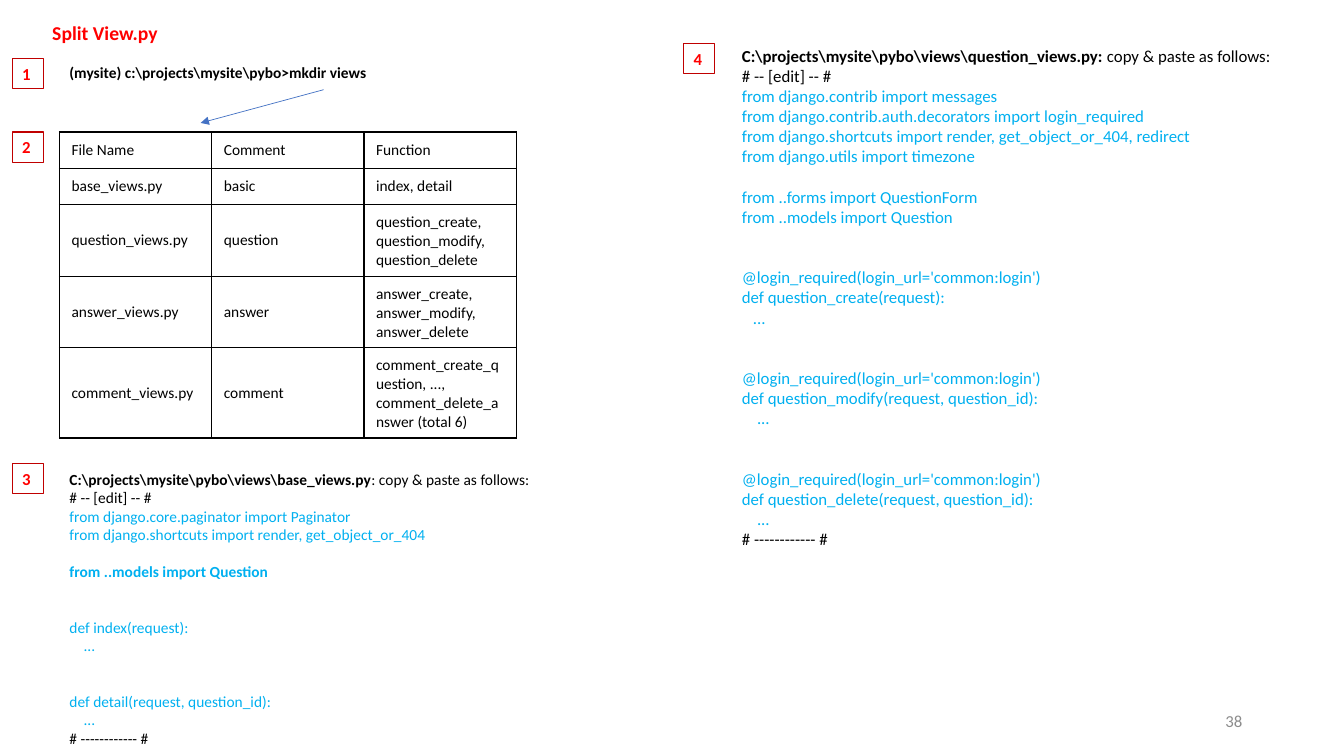
"""Build the slide that explains how to split views.py into modules."""
from typing import NamedTuple

from lxml import etree
from pptx import Presentation
from pptx import util as u
from pptx.dml.color import RGBColor
from pptx.enum import shapes, text
from pptx.oxml import ns

PX = 9144
FONT = "Calibri"
BLACK, RED, DARK_RED = "000000", "FF0000", "C00000"
CODE_BLUE, ARROW_BLUE, GREY = "00B0F0", "4472C4", "8C8C8C"
LINE_PITCH = 1.2


class Line(NamedTuple):
    """One paragraph; gap counts skipped lines, indent is in px."""
    words: str
    color: str = CODE_BLUE
    bold: bool = False
    gap: int = 0
    indent: int = 0
    note: str = ""


class Block(NamedTuple):
    """A text box with its place in px and its paragraphs."""
    left: int
    top: int
    width: int
    height: int
    size: int
    lines: list[Line]
    align: text.PP_ALIGN = text.PP_ALIGN.LEFT
    anchor: text.MSO_ANCHOR = text.MSO_ANCHOR.TOP


class Step(NamedTuple):
    """A numbered marker and its corner in px."""
    number: str
    left: int
    top: int


COPY_NOTE = ": copy & paste as follows:"
EDIT_START = Line("# -- [edit] -- #", BLACK)
EDIT_END = Line("# ------------ #", BLACK)
LOGIN = Line("@login_required(login_url='common:login')", gap=2)

TITLE = Block(42, 16, 346, 34, 14, [Line("Split View.py", RED, True)])
BASE_VIEWS = Block(59, 58, 581, 673, 11, [
    Line(r"(mysite) c:\projects\mysite\pybo>mkdir views", BLACK, True),
    Line(r"C:\projects\mysite\pybo\views\base_views.py", BLACK, True, gap=21, note=COPY_NOTE),
    EDIT_START,
    Line("from django.core.paginator import Paginator"),
    Line("from django.shortcuts import render, get_object_or_404"),
    Line("from ..models import Question", bold=True, gap=1),
    Line("def index(request):", gap=2),
    Line("...", indent=14),
    Line("def detail(request, question_id):", gap=2),
    Line("...", indent=14),
    EDIT_END,
])
QUESTION_VIEWS = Block(726, 40, 582, 669, 12, [
    Line(r"C:\projects\mysite\pybo\views\question_views.py:", BLACK, True, note=COPY_NOTE[1:]),
    EDIT_START,
    Line("from django.contrib import messages"),
    Line("from django.contrib.auth.decorators import login_required"),
    Line("from django.shortcuts import render, get_object_or_404, redirect"),
    Line("from django.utils import timezone"),
    Line("from ..forms import QuestionForm", gap=1),
    Line("from ..models import Question"),
    LOGIN,
    Line("def question_create(request):"),
    Line("...", indent=11),
    LOGIN,
    Line("def question_modify(request, question_id):"),
    Line("...", indent=15),
    LOGIN,
    Line("def question_delete(request, question_id):"),
    Line("...", indent=15),
    EDIT_END,
])
PAGE_NUMBER = Block(942, 695, 300, 40, 12, [Line("38", GREY)],
                    text.PP_ALIGN.RIGHT, text.MSO_ANCHOR.MIDDLE)

STEPS = [Step("1", 12, 58), Step("2", 12, 131), Step("3", 12, 460), Step("4", 678, 43)]

FILES = [
    ("File Name", "Comment", "Function"),
    ("base_views.py", "basic", "index, detail"),
    ("question_views.py", "question", "question_create, question_modify, question_delete"),
    ("answer_views.py", "answer", "answer_create, answer_modify, answer_delete"),
    ("comment_views.py", "comment",
     "comment_create_question, ..., comment_delete_answer (total 6)"),
]
ROW_HEIGHTS = [36, 36, 71, 71, 89]
COLUMN_WIDTH = 151


def px(length: int) -> u.Emu:
    """Turn px into EMU."""
    return u.Emu(length * PX)


def rgb(color: str) -> RGBColor:
    """Turn a hex string into a colour."""
    return RGBColor.from_string(color)


def write(paragraph, words: str, *, size: int, color: str = BLACK, bold: bool = False) -> None:
    """Add a formatted run to a paragraph."""
    run = paragraph.add_run()
    run.text = words
    run.font.name, run.font.size, run.font.bold = FONT, u.Pt(size), bold
    run.font.color.rgb = rgb(color)


def draw_block(slide, block: Block) -> None:
    """Draw a text box with one paragraph per line."""
    box = slide.shapes.add_textbox(*map(px, block[:4]))
    frame = box.text_frame
    frame.word_wrap = True
    frame.vertical_anchor = block.anchor
    for index, line in enumerate(block.lines):
        paragraph = frame.add_paragraph() if index else frame.paragraphs[0]
        paragraph.alignment = block.align
        if line.gap:
            paragraph.space_before = u.Pt(line.gap * block.size * LINE_PITCH)
        if line.indent:
            properties = paragraph._p.get_or_add_pPr()
            properties.set("marL", str(px(line.indent)))
            properties.set("indent", "0")
        write(paragraph, line.words, size=block.size, color=line.color, bold=line.bold)
        if line.note:
            write(paragraph, line.note, size=block.size, color=line.color)


def draw_step(slide, step: Step) -> None:
    """Draw a numbered marker."""
    marker = slide.shapes.add_shape(shapes.MSO_SHAPE.RECTANGLE, px(step.left), px(step.top),
                                    px(31), px(30))
    marker.shadow.inherit = False
    marker.fill.background()
    marker.line.color.rgb = rgb(DARK_RED)
    marker.line.width = u.Pt(0.75)
    marker.text_frame.vertical_anchor = text.MSO_ANCHOR.TOP
    paragraph = marker.text_frame.paragraphs[0]
    paragraph.alignment = text.PP_ALIGN.LEFT
    write(paragraph, step.number, size=12, color=RED, bold=True)


def add_borders(cell) -> None:
    """Give a cell a black line on each side."""
    properties = cell._tc.get_or_add_tcPr()
    for index, side in enumerate(("a:lnL", "a:lnR", "a:lnT", "a:lnB")):
        border = etree.Element(ns.qn(side), w=str(u.Pt(1)))
        fill = etree.SubElement(border, ns.qn("a:solidFill"))
        etree.SubElement(fill, ns.qn("a:srgbClr"), val=BLACK)
        properties.insert(index, border)


def draw_files(slide) -> None:
    """Draw the table of view files."""
    columns = len(FILES[0])
    files = slide.shapes.add_table(len(FILES), columns, px(59), px(131),
                                   px(columns * COLUMN_WIDTH), px(sum(ROW_HEIGHTS))).table
    files.first_row = files.horz_banding = False
    for column in files.columns:
        column.width = px(COLUMN_WIDTH)
    for row, height, entries in zip(files.rows, ROW_HEIGHTS, FILES):
        row.height = px(height)
        for cell, entry in zip(row.cells, entries):
            cell.fill.background()
            cell.vertical_anchor = text.MSO_ANCHOR.MIDDLE
            cell.margin_left = cell.margin_right = px(12)
            cell.margin_top = cell.margin_bottom = px(8)
            write(cell.text_frame.paragraphs[0], entry, size=11)
            add_borders(cell)


def draw_arrow(slide) -> None:
    """Draw the arrow from the command to the table."""
    arrow = slide.shapes.add_connector(shapes.MSO_CONNECTOR.STRAIGHT,
                                       px(321), px(89), px(199), px(122))
    arrow.line.color.rgb = rgb(ARROW_BLUE)
    arrow.line.width = u.Pt(0.5)
    etree.SubElement(arrow.line._get_or_add_ln(), ns.qn("a:tailEnd"), type="triangle")
    etree.SubElement(arrow._element.spPr, ns.qn("a:effectLst"))


def main() -> None:
    """Build and save the slide."""
    deck = Presentation()
    deck.slide_width, deck.slide_height = px(1333), px(750)
    slide = deck.slides.add_slide(deck.slide_layouts[6])
    for block in (TITLE, BASE_VIEWS, QUESTION_VIEWS, PAGE_NUMBER):
        draw_block(slide, block)
    draw_files(slide)
    for step in STEPS:
        draw_step(slide, step)
    draw_arrow(slide)
    deck.save("out.pptx")


if __name__ == "__main__":
    main()
